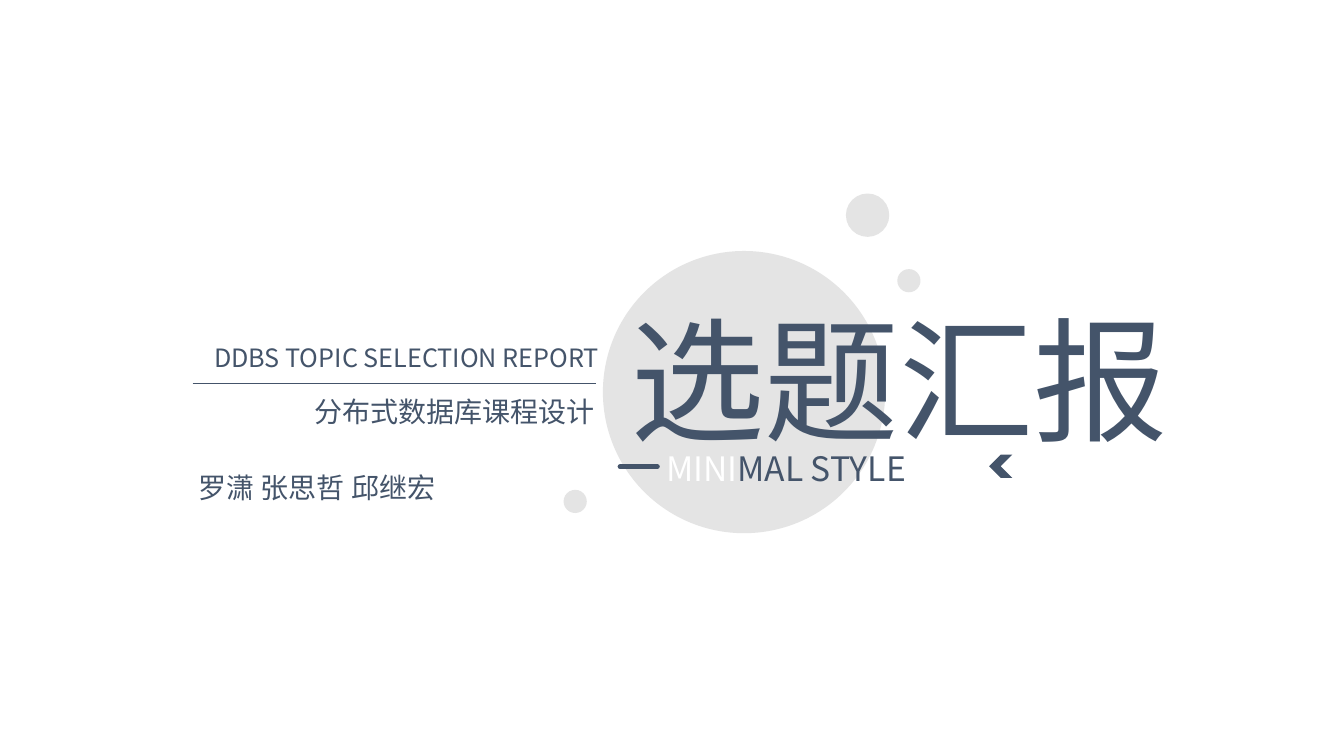
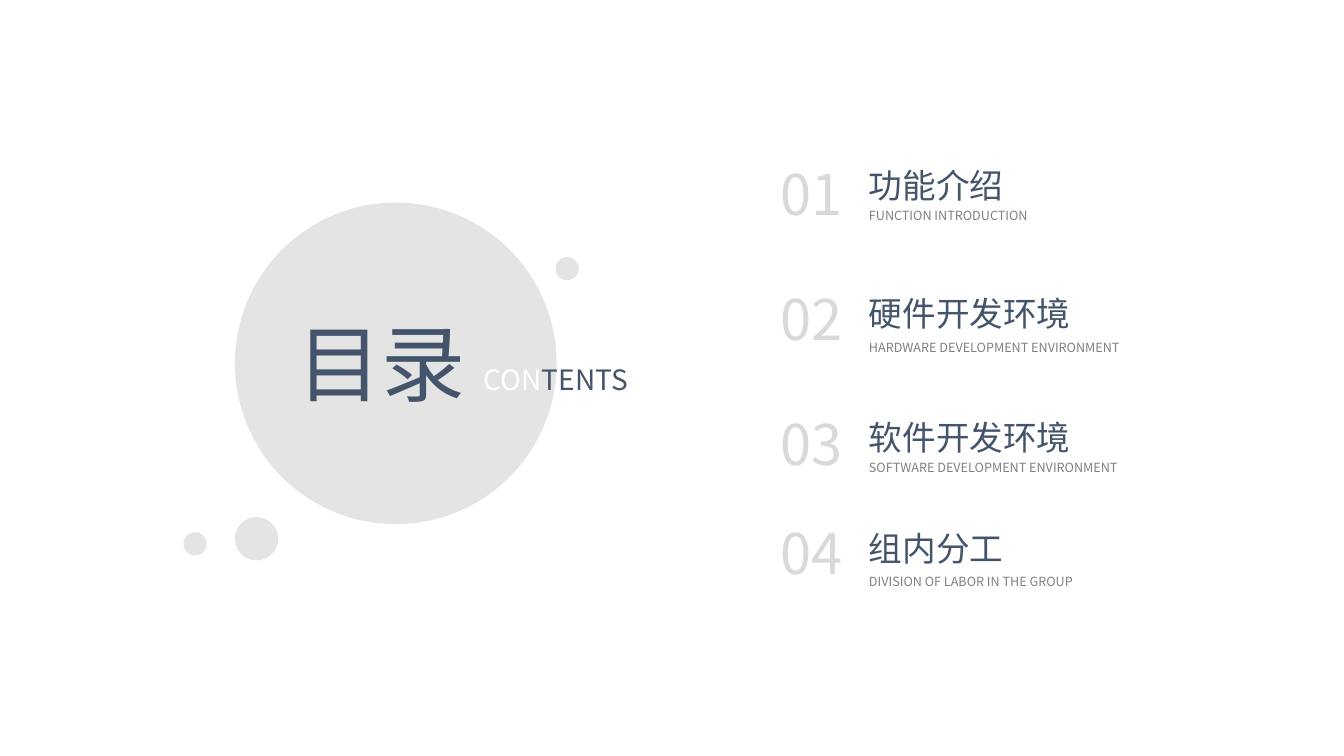
from pptx import Presentation
from pptx.dml.color import RGBColor
from pptx.enum.shapes import MSO_CONNECTOR, MSO_SHAPE
from pptx.enum.text import MSO_ANCHOR, MSO_AUTO_SIZE, PP_ALIGN
from pptx.oxml.ns import qn
from pptx.util import Inches, Pt
from lxml.etree import SubElement

FONT = "Noto Sans CJK SC"
COLORS = {"ink": "44546A", "disc": "D9D9D9", "number": "D9D9D9",
          "caption": "808080", "white": "FFFFFF"}
DISC_OPACITY = 70
SMALL_DISC, MEDIUM_DISC = 0.23, 0.43
TITLE_ONLY = 5

# number top, heading offset, caption offset, caption width, heading, caption
CONTENTS = [
    (1.53, 0.06, 0.48, 1.89, "功能介绍", "FUNCTION INTRODUCTION"),
    (2.77, 0.09, 0.55, 2.9, "硬件开发环境", "HARDWARE DEVELOPMENT ENVIRONMENT"),
    (4.01, 0.08, 0.5, 2.85, "软件开发环境", "SOFTWARE DEVELOPMENT ENVIRONMENT"),
    (5.1, 0.09, 0.54, 2.38, "组内分工", "DIVISION OF LABOR IN THE GROUP"),
]


def color(name):
    return RGBColor.from_string(COLORS[name])


def write(shape, runs, size, align=PP_ALIGN.LEFT, wrap=False):
    """Fill a shape with one paragraph made of (text, colour name) runs."""
    frame = shape.text_frame
    frame.word_wrap = wrap
    frame.auto_size = MSO_AUTO_SIZE.SHAPE_TO_FIT_TEXT
    frame.vertical_anchor = MSO_ANCHOR.TOP
    paragraph = frame.paragraphs[0]
    paragraph.alignment = align
    for text, color_name in runs:
        run = paragraph.add_run()
        run.text = text
        run.font.name = FONT
        run.font.size = Pt(size)
        run.font.color.rgb = color(color_name)
        east_asian = SubElement(run.font._element, qn("a:ea"))
        east_asian.set("typeface", FONT)


def add_text(slide, left, top, width, height, runs, size, **options):
    box = slide.shapes.add_textbox(Inches(left), Inches(top), Inches(width), Inches(height))
    write(box, runs, size, **options)


def place_title(slide, left, top, width, height, text, size):
    """Set the title and bring it in front of the shapes drawn so far."""
    title = slide.shapes.title
    title.left, title.top = Inches(left), Inches(top)
    title.width, title.height = Inches(width), Inches(height)
    write(title, [(text, "ink")], size, wrap=True)
    title.element.getparent().append(title.element)


def add_solid(slide, preset, left, top, size, color_name):
    shape = slide.shapes.add_shape(
        preset, Inches(left), Inches(top), Inches(size), Inches(size))
    shape.shadow.inherit = False
    shape.fill.solid()
    shape.fill.fore_color.rgb = color(color_name)
    shape.line.fill.background()
    return shape


def add_discs(slide, discs):
    """Draw translucent discs given as (left, top, diameter)."""
    for left, top, diameter in discs:
        disc = add_solid(slide, MSO_SHAPE.FLOWCHART_CONNECTOR, left, top, diameter, "disc")
        fill_color = disc.element.spPr.find(qn("a:solidFill"))[0]
        SubElement(fill_color, qn("a:alpha")).set("val", str(DISC_OPACITY * 1000))


def add_rule(slide, left, top, width, weight, cap="flat"):
    y = Inches(top)
    rule = slide.shapes.add_connector(
        MSO_CONNECTOR.STRAIGHT, Inches(left), y, Inches(left + width), y)
    rule.line.color.rgb = color("ink")
    rule.line.width = Pt(weight)
    rule.line._get_or_add_ln().set("cap", cap)
    SubElement(rule.element.spPr, qn("a:effectLst"))


def add_cover_title(slide, left, top):
    place_title(slide, left, top, 5.7, 1.72, "选题汇报", 96)
    add_text(slide, left + 0.36, top + 1.49, 3.27, 0.5,
             [("MINI", "white"), ("MAL STYLE", "ink")], 24, wrap=True)
    add_rule(slide, left, top + 1.73, 0.37, 3.5, cap="rnd")
    chevron = add_solid(slide, MSO_SHAPE.CHEVRON, left + 3.66, top + 1.61, 0.23, "ink")
    chevron.rotation = 180


def add_cover_details(slide, left, top):
    add_text(slide, left, top, 4.17, 0.4, [("DDBS TOPIC SELECTION REPORT", "ink")], 18,
             align=PP_ALIGN.RIGHT)
    add_rule(slide, left + 0.04, top + 0.45, 4, 0.5)
    add_text(slide, left + 1.15, top + 0.51, 3.01, 0.44,
             [("分布式数据库课程设计", "ink")], 20, wrap=True)
    add_text(slide, left, top + 1.27, 2.7, 0.44, [("罗潇 张思哲 邱继宏", "ink")], 20)


def add_contents_title(slide, left, top):
    place_title(slide, left, top, 1.97, 1.11, "目录", 60)
    add_text(slide, left + 1.85, top + 0.51, 1.97, 0.44,
             [("CON", "white"), ("TENTS", "ink")], 20, wrap=True)


def add_contents_list(slide, left):
    text_left = left + 0.88
    for index, row in enumerate(CONTENTS, start=1):
        top, heading_offset, caption_offset, caption_width, heading, caption = row
        heading_width = len(heading) * 24 / 72 + 0.2
        add_text(slide, left, top, 0.86, 0.77, [(f"{index:02}", "number")], 40)
        add_text(slide, text_left, top + heading_offset, heading_width, 0.5,
                 [(heading, "ink")], 24)
        add_text(slide, text_left, top + caption_offset, caption_width, 0.25,
                 [(caption, "caption")], 9)


def add_slide(presentation):
    return presentation.slides.add_slide(presentation.slide_layouts[TITLE_ONLY])


def build_cover(presentation):
    slide = add_slide(presentation)
    add_discs(slide, [(5.98, 2.49, 2.8), (8.39, 1.92, MEDIUM_DISC),
                      (8.9, 2.67, SMALL_DISC), (5.59, 4.86, SMALL_DISC)])
    add_cover_title(slide, 6.15, 2.9)
    add_cover_details(slide, 1.87, 3.35)


def build_contents(presentation):
    slide = add_slide(presentation)
    add_discs(slide, [(2.33, 2.01, 3.19), (2.33, 5.13, MEDIUM_DISC),
                      (1.82, 5.28, SMALL_DISC), (5.51, 2.55, SMALL_DISC)])
    add_contents_title(slide, 2.85, 3.04)
    add_contents_list(slide, 7.64)


def main():
    presentation = Presentation()
    presentation.slide_width = Inches(13.33)
    presentation.slide_height = Inches(7.5)
    build_cover(presentation)
    build_contents(presentation)
    presentation.save("out.pptx")


if __name__ == "__main__":
    main()
